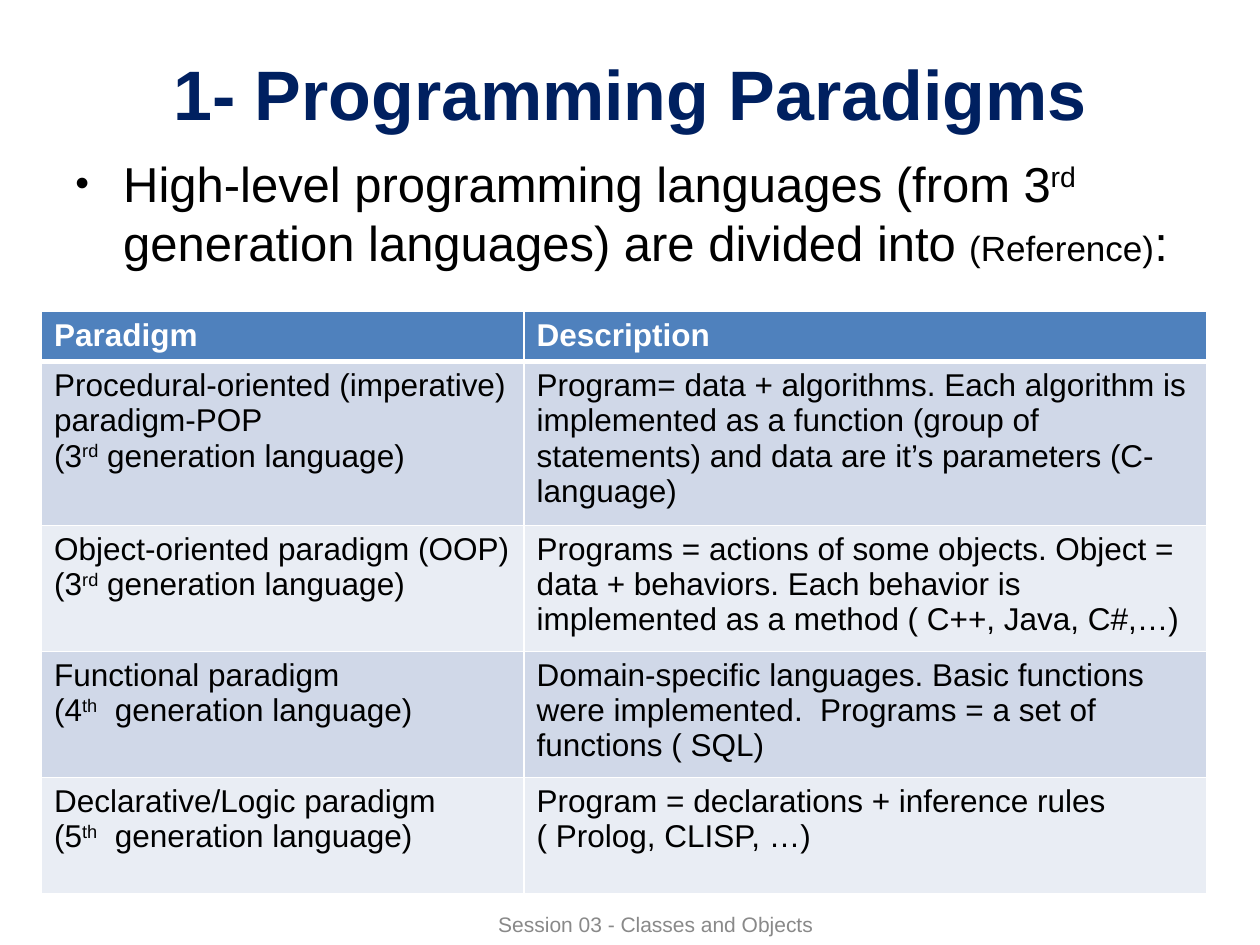
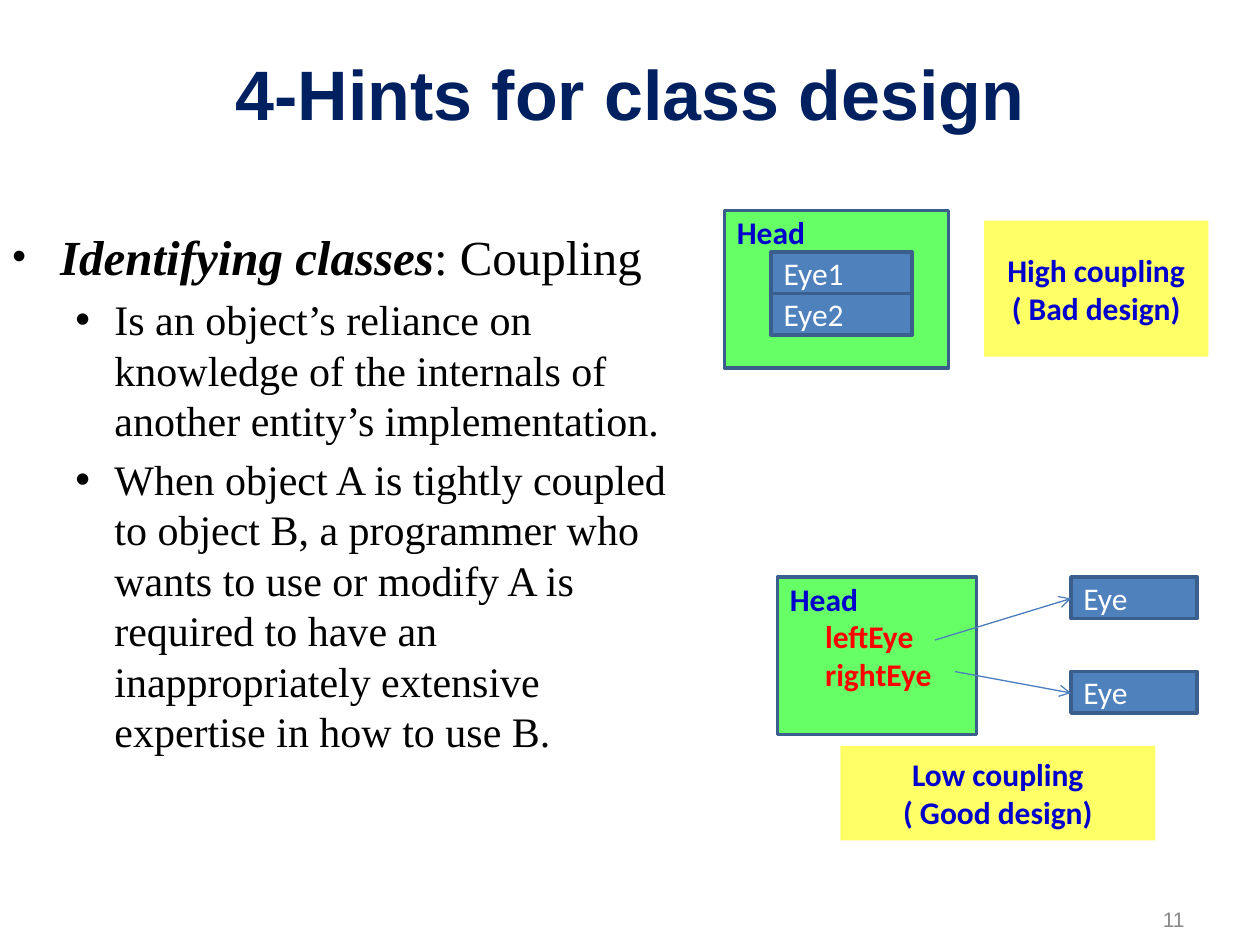
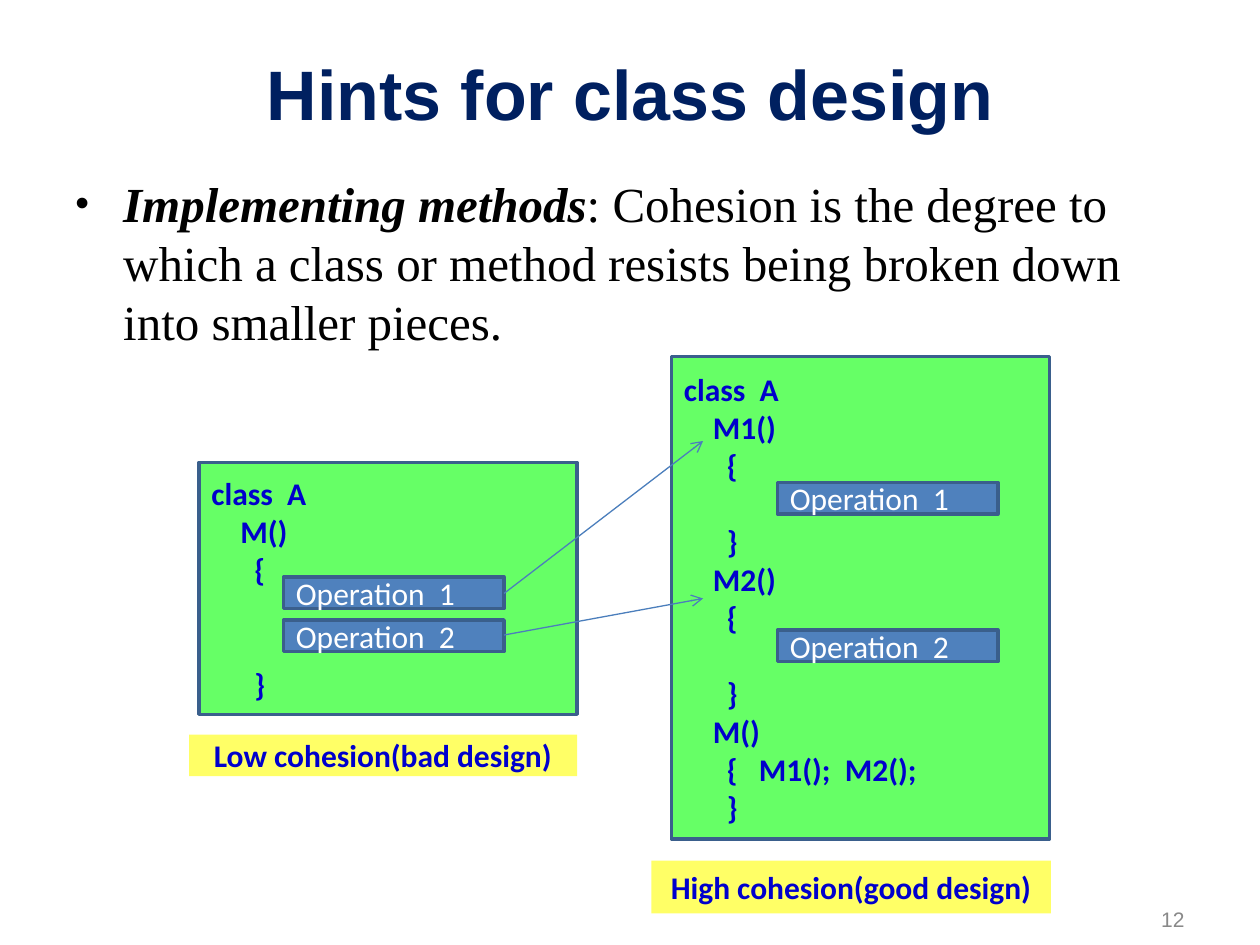
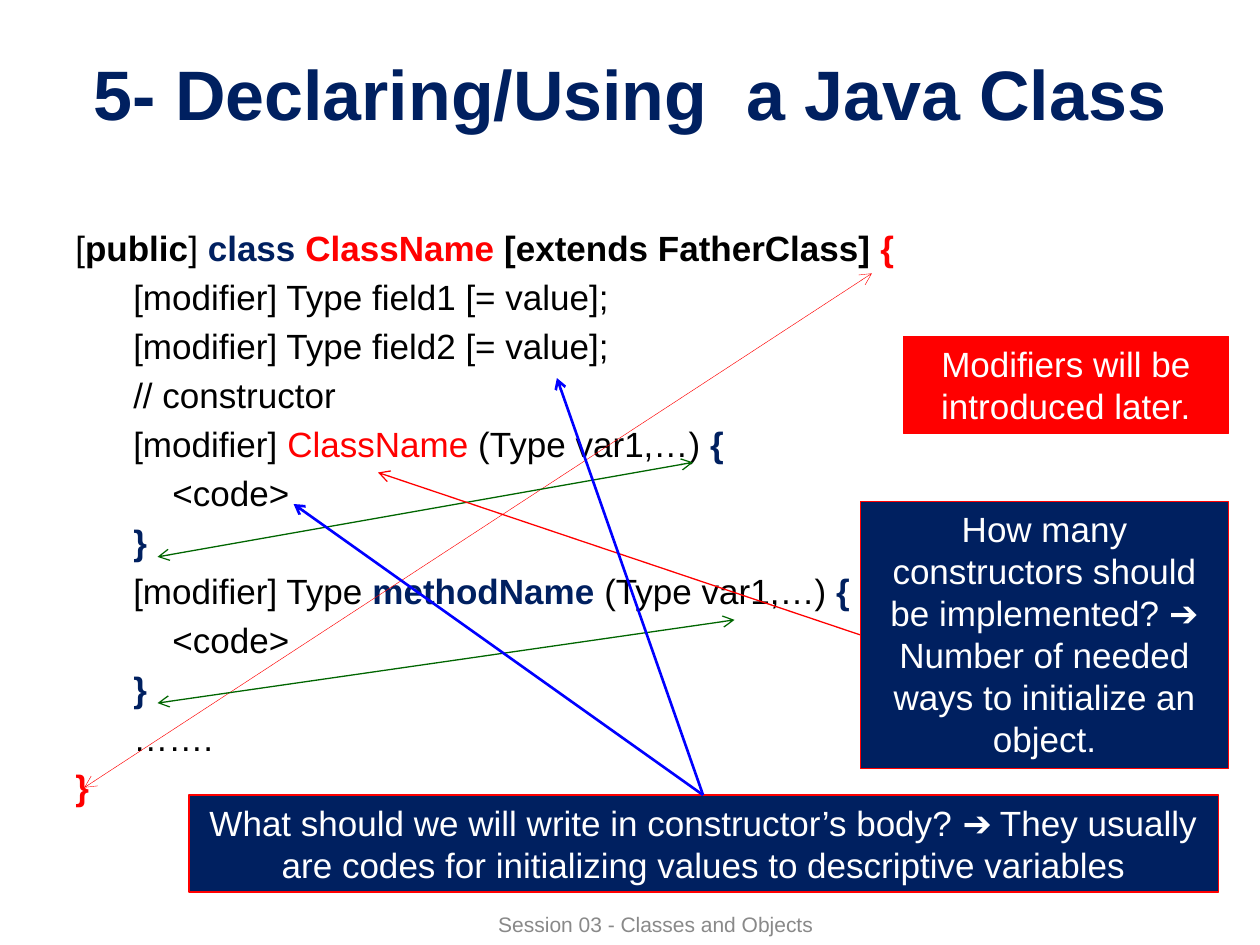
from pptx import Presentation
from pptx.dml.color import RGBColor
from pptx.enum.shapes import MSO_CONNECTOR as Link, MSO_SHAPE as Preset
from pptx.enum.text import MSO_ANCHOR as Anchor, PP_ALIGN as Align
from pptx.oxml.ns import qn
from pptx.util import Inches, Pt
from lxml.etree import SubElement, Element

COLORS = {
    "navy": "002060", "black": "000000", "white": "FFFFFF", "gray": "898989",
    "red": "FF0000", "green": "006600", "blue": "0000FF", "ink": "0000CC",
    "class": "66FF66", "part": "4F81BD", "edge": "3A5F8C", "arrow": "4B7EBC",
    "label": "FFFF66", "band": "D0D8E8", "pale": "E9EDF4",
}

# Text styles shared by all slides
TITLE = dict(font="Arial", size=40, color="navy", bold=True)
FOOTER = dict(font="Arial", size=12, color="gray")
BODY = dict(font="Arial", size=28, color="black")
SERIF = dict(BODY, font="Times New Roman")
CODE = dict(BODY, size=20)
CELL = dict(BODY, size=18)
PART = dict(font="Calibri", size=18, color="white")
CLASS = dict(PART, color="ink", bold=True)
NOTE = dict(font="Arial", size=20, color="white")

LINE_GAP = 22  # height of one line of class text, in points


def rgb(name):
    return RGBColor.from_string(COLORS[name])


def add_runs(para, runs, style):
    """Each run is a string, or a pair of string and style changes."""
    for run in [runs] if isinstance(runs, str) else runs:
        text, changes = (run, {}) if isinstance(run, str) else run
        look = {**style, **changes}
        span = para.add_run()
        span.text = text
        span.font.name = look["font"]
        span.font.size = Pt(look["size"])
        span.font.bold = look.get("bold", False)
        span.font.italic = look.get("italic", False)
        span.font.color.rgb = rgb(look["color"])
        if look.get("raised"):
            span.font._rPr.set("baseline", "30000")


def paragraphs(frame, count):
    return [frame.paragraphs[0]] + [frame.add_paragraph() for _ in range(count - 1)]


def write(frame, lines, style, align=Align.LEFT, anchor=Anchor.MIDDLE):
    """Each line is a list of runs; returns the paragraphs."""
    frame.word_wrap = True
    frame.vertical_anchor = anchor
    paras = paragraphs(frame, len(lines))
    for para, runs in zip(paras, lines):
        para.alignment = align
        add_runs(para, runs, style)
    return paras


def add_text(page, box, lines, style, align=Align.LEFT, anchor=Anchor.MIDDLE):
    shape = page.shapes.add_textbox(*map(Inches, box))
    return write(shape.text_frame, lines, style, align, anchor)


def set_layout(para, left, hang=0.0, bullet=False, bullet_size=100):
    props = para._p.get_or_add_pPr()
    props.set("marL", str(Inches(left)))
    props.set("indent", str(Inches(-hang)))
    before = SubElement(props, qn("a:spcBef"))
    SubElement(before, qn("a:spcPct"), val="20000")
    if bullet:
        tint = SubElement(props, qn("a:buClr"))
        SubElement(tint, qn("a:srgbClr"), val=COLORS["black"])
        SubElement(props, qn("a:buSzPct"), val=str(bullet_size * 1000))
        SubElement(props, qn("a:buFont"), typeface="Arial")
        SubElement(props, qn("a:buChar"), char="•")


def add_bullets(page, box, bullets, style):
    """Bullets are pairs of level and runs; level 1 is smaller and further in."""
    paras = add_text(page, box, [runs for _, runs in bullets], style, anchor=Anchor.TOP)
    for para, (level, _) in zip(paras, bullets):
        para.level = level
        if level:
            set_layout(para, 0.81, 0.31, True)
        else:
            set_layout(para, 0.38, 0.38, True, 80)


def add_box(page, box, fill, edge=None, width=2.0):
    shape = page.shapes.add_shape(Preset.RECTANGLE, *map(Inches, box))
    shape.shadow.inherit = False
    shape.fill.solid()
    shape.fill.fore_color.rgb = rgb(fill)
    if edge:
        shape.line.color.rgb = rgb(edge)
        shape.line.width = Pt(width)
    else:
        shape.line.fill.background()
    return shape


def add_part(page, box, text):
    write(add_box(page, box, "part", "edge").text_frame, [text], PART)


def add_label(page, box, *lines):
    write(add_box(page, box, "label").text_frame, lines, CLASS, Align.CENTER)


def add_note(page, box, text, fill="navy"):
    frame = add_box(page, box, fill, "red", 0.75).text_frame
    write(frame, [text], NOTE, Align.CENTER, Anchor.TOP)


def add_arrow(page, start, end, color="arrow", width=0.75, both=False):
    line = page.shapes.add_connector(Link.STRAIGHT, *map(Inches, start + end))
    line.line.color.rgb = rgb(color)
    line.line.width = Pt(width)
    stroke = line.line._get_or_add_ln()
    for tag in (["a:headEnd"] if both else []) + ["a:tailEnd"]:
        SubElement(stroke, qn(tag), type="arrow")
    SubElement(line._element.spPr, qn("a:effectLst"))


# Frame shared by all slides
def add_page(deck, title, session=False, number=None):
    page = deck.slides.add_slide(deck.slide_layouts[6])
    add_text(page, (0.5, 0.3, 9, 0.87), [title], TITLE, Align.CENTER)
    if session:
        add_text(page, (2.83, 7.17, 4.75, 0.33),
                 ["Session 03 - Classes and Objects"], FOOTER, Align.CENTER)
    if number:
        add_text(page, (8.33, 7.17, 1.17, 0.25), [str(number)], FOOTER, Align.RIGHT)
    return page


# Table of paradigms
def set_borders(cell, top, bottom):
    props = cell._tc.get_or_add_tcPr()
    widths = {"a:lnL": 1, "a:lnR": 1, "a:lnT": top, "a:lnB": bottom}
    for place, (tag, width) in enumerate(widths.items()):
        border = Element(qn(tag), w=str(Pt(width)))
        fill = SubElement(border, qn("a:solidFill"))
        SubElement(fill, qn("a:srgbClr"), val=COLORS["white"])
        props.insert(place, border)


def generation(number, suffix, rest=" generation language)"):
    return ["(" + number, (suffix, dict(raised=True)), rest]


def paradigm_table(page, box):
    wide = "  generation language)"
    rows = [
        (["Paradigm"], ["Description"]),
        (["Procedural-oriented (imperative) paradigm-POP", generation("3", "rd")],
         ["Program= data + algorithms. Each algorithm is implemented as a function "
          "(group of statements) and data are it’s parameters (C-language)"]),
        (["Object-oriented paradigm (OOP)", generation("3", "rd")],
         ["Programs = actions of some objects. Object = data + behaviors. Each "
          "behavior is implemented as a method ( C++, Java, C#,…)"]),
        (["Functional paradigm", generation("4", "th", wide)],
         ["Domain-specific languages. Basic functions were implemented.  "
          "Programs = a set of functions ( SQL)"]),
        (["Declarative/Logic paradigm", generation("5", "th", wide)],
         ["Program = declarations + inference rules ( Prolog, CLISP, …)"]),
    ]
    holder = page.shapes.add_table(len(rows), 2, *map(Inches, box))
    table = holder.table
    table.horz_banding = False
    table.columns[0].width = Inches(3.83)
    table.columns[1].width = Inches(box[2] - 3.83)
    for index, row in enumerate(rows):
        table.rows[index].height = Inches(0.92 if index else 0.33)
        header = index == 0
        style = dict(CELL, color="white", bold=True) if header else CELL
        for column, lines in enumerate(row):
            cell = table.cell(index, column)
            cell.fill.solid()
            cell.fill.fore_color.rgb = rgb(
                "part" if header else "band" if index % 2 else "pale")
            set_borders(cell, 3 if index == 1 else 1, 3 if header else 1)
            write(cell.text_frame, lines, style)
            cell.vertical_anchor = Anchor.TOP
    holder.height = Inches(box[3])


def paradigms_slide(deck):
    page = add_page(deck, "1- Programming Paradigms", session=True)
    add_bullets(page, (0.5, 1.17, 9, 1.5), [(0, [
        "High-level programming languages (from 3", ("rd", dict(raised=True)),
        " generation languages) are divided into ",
        ("(Reference)", dict(size=20)), ":"])], BODY)
    paradigm_table(page, (0.33, 2.47, 9.25, 4.53))


# Coupling diagrams
def head_box(page, box, fields=()):
    frame = add_box(page, box, "class", "edge").text_frame
    frame.margin_top = Inches(0.02)
    paras = write(frame, ["Head", *([(field, dict(color="red"))] for field in fields)],
                  CLASS, anchor=Anchor.TOP)
    for para in paras[1:]:
        para._p.get_or_add_pPr().set("marL", str(Inches(0.28)))


def high_coupling(page, left, top):
    head_box(page, (left, top, 1.78, 1.25))
    for index in range(2):
        add_part(page, (left + 0.37, top + 0.33 * (index + 1), 1.12, 0.33),
                 f"Eye{index + 1}")
    add_label(page, (left + 2.06, top + 0.08, 1.78, 1.08),
              "High coupling", "( Bad design)")


def low_coupling(page, left, top):
    head_box(page, (left, top, 1.58, 1.25), ["leftEye", "rightEye"])
    eye_left = left + 2.33
    for eye_top, start in ((top, (left + 1.25, top + 0.5)),
                           (top + 0.75, (left + 1.41, top + 0.75))):
        add_part(page, (eye_left, eye_top, 1, 0.33), "Eye")
        add_arrow(page, start, (eye_left, eye_top + 0.17))
    add_label(page, (left + 0.5, top + 1.34, 2.5, 0.75),
              "Low coupling", "( Good design)")


def coupling_slide(deck):
    page = add_page(deck, "4-Hints for class design", number=11)
    small = dict(size=24)
    add_bullets(page, (0, 1.75, 5.5, 4.5), [
        (0, [("Identifying classes", dict(bold=True, italic=True)), ": Coupling"]),
        (1, [("Is an object’s reliance on knowledge of the internals of another "
              "entity’s implementation.", small)]),
        (1, [("When object A is tightly coupled to object B, a programmer who wants "
              "to use or modify A is required to have an inappropriately extensive "
              "expertise in how to use B.", small)]),
    ], SERIF)
    high_coupling(page, 5.75, 1.67)
    low_coupling(page, 6.17, 4.58)


# Cohesion diagrams
def class_box(page, box, lines, operations):
    """Lines are (level, text, skipped lines above); operations are offsets."""
    left, top = box[:2]
    frame = add_box(page, box, "class", "edge").text_frame
    paras = write(frame, [text for _, text, _ in lines], CLASS)
    for para, (level, _, skipped) in zip(paras, lines):
        para._p.get_or_add_pPr().set("marL", str(Inches((0, 0.23, 0.34)[level])))
        para.space_before = Pt(LINE_GAP * skipped)
    for number, (across, down) in enumerate(operations, 1):
        add_part(page, (left + across, top + down, 1.75, 0.25), f"Operation  {number}")


def low_cohesion(page, left, top):
    class_box(page, (left, top, 3, 2),
              [(0, "class  A", 0), (1, "M()", 0), (2, "{", 0), (2, "}", 2)],
              [(0.67, 0.91), (0.67, 1.25)])
    add_label(page, (left - 0.08, top + 2.16, 3.08, 0.33), "Low cohesion(bad design)")


def high_cohesion(page, left, top):
    method = [(2, "{", 0), (2, "}", 1)]
    class_box(page, (left, top, 3, 3.83),
              [(0, "class  A", 0), (1, "M1()", 0), *method, (1, "M2()", 0), *method,
               (1, "M()", 0), (2, "{   M1();  M2();", 0), (2, "}", 0)],
              [(0.84, 1), (0.84, 2.17)])
    add_label(page, (left - 0.16, top + 4, 3.17, 0.42), "High cohesion(good design)")


def cohesion_slide(deck):
    page = add_page(deck, "Hints for class design", number=12)
    add_bullets(page, (0.5, 1.33, 9, 1.92), [(0, [
        ("Implementing methods", dict(bold=True, italic=True)),
        ": Cohesion is the degree to which a class or method resists being broken "
        "down into smaller pieces."])], SERIF)
    low_cohesion(page, 1.58, 3.67)
    high_cohesion(page, 5.33, 2.83)
    add_arrow(page, (4, 4.71), (5.58, 3.5))
    add_arrow(page, (4, 5.04), (5.58, 4.75))


# Class declaration
def class_code(page, box):
    bold, red = dict(bold=True), dict(color="red")
    key, mark = dict(bold=True, color="navy"), dict(bold=True, color="red")
    lines = [
        (0, ["[", ("public", bold), "] ", ("class ", key), ("ClassName ", mark),
             ("[extends FatherClass] ", bold), ("{", mark)]),
        (1, "[modifier] Type field1 [= value];"),
        (1, "[modifier] Type field2 [= value];"),
        (1, "// constructor"),
        (1, ["[modifier] ", ("ClassName", red), " (Type var1,…) ", ("{", key)]),
        (2, "<code>"),
        (1, [("}", key)]),
        (1, ["[modifier] Type ", ("methodName ", key), "(Type var1,…) ", ("{", key)]),
        (2, "<code>"),
        (1, [("}", key)]),
        (1, "……."),
        (0, [("}", mark)]),
    ]
    paras = add_text(page, box, [runs for _, runs in lines], CODE, anchor=Anchor.TOP)
    for para, (level, _) in zip(paras, lines):
        set_layout(para, (0, 0.46, 0.77)[level])


def declaration_slide(deck):
    page = add_page(deck, "5- Declaring/Using  a Java Class", session=True)
    class_code(page, (0.5, 1.75, 9, 4.95))
    add_note(page, (7.17, 2.67, 2.58, 0.77), "Modifiers will be introduced later.", "red")
    add_note(page, (6.83, 3.98, 2.92, 2.12),
             "How many constructors should be implemented? ➔ Number of needed ways "
             "to initialize an object.")
    add_note(page, (1.5, 6.31, 8.17, 0.77),
             "What should we will write in constructor’s body? ➔ They usually are "
             "codes for initializing values to descriptive variables")
    # Pairs of braces
    add_arrow(page, (0.67, 6.25), (6.92, 2.17), "red", 0.25, both=True)
    add_arrow(page, (1.25, 4.42), (5.5, 3.67), "green", both=True)
    add_arrow(page, (1.25, 5.58), (5.83, 4.92), "green", both=True)
    # From notes to code
    add_arrow(page, (5.58, 6.31), (2.33, 4), "blue", 1.5)
    add_arrow(page, (6.83, 5.04), (3, 3.75), "red")
    add_arrow(page, (5.58, 6.31), (4.42, 3), "blue", 1.5)


def main():
    deck = Presentation()
    deck.slide_width, deck.slide_height = Inches(10), Inches(7.5)
    for build in (paradigms_slide, coupling_slide, cohesion_slide, declaration_slide):
        build(deck)
    deck.save("out.pptx")


if __name__ == "__main__":
    main()
